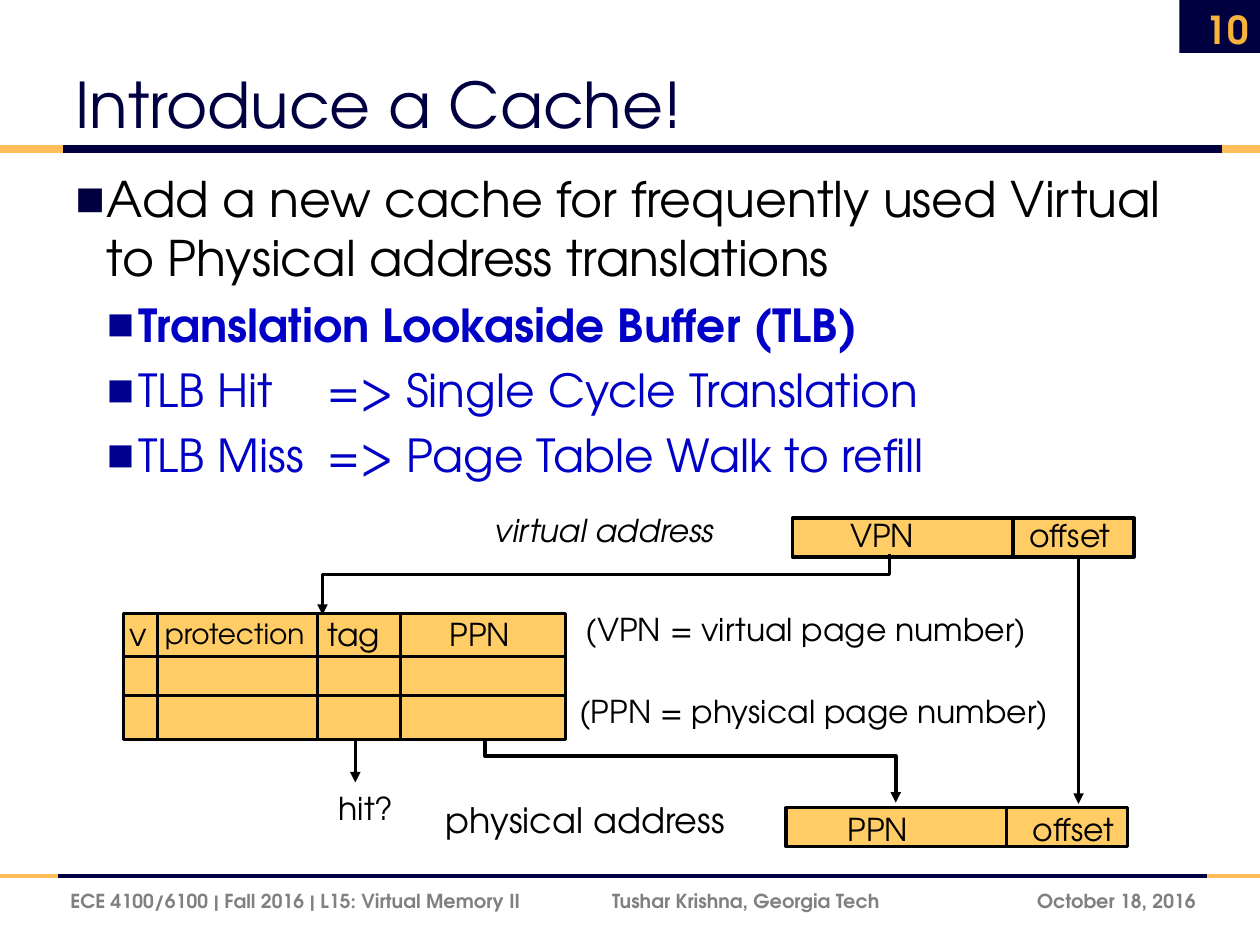
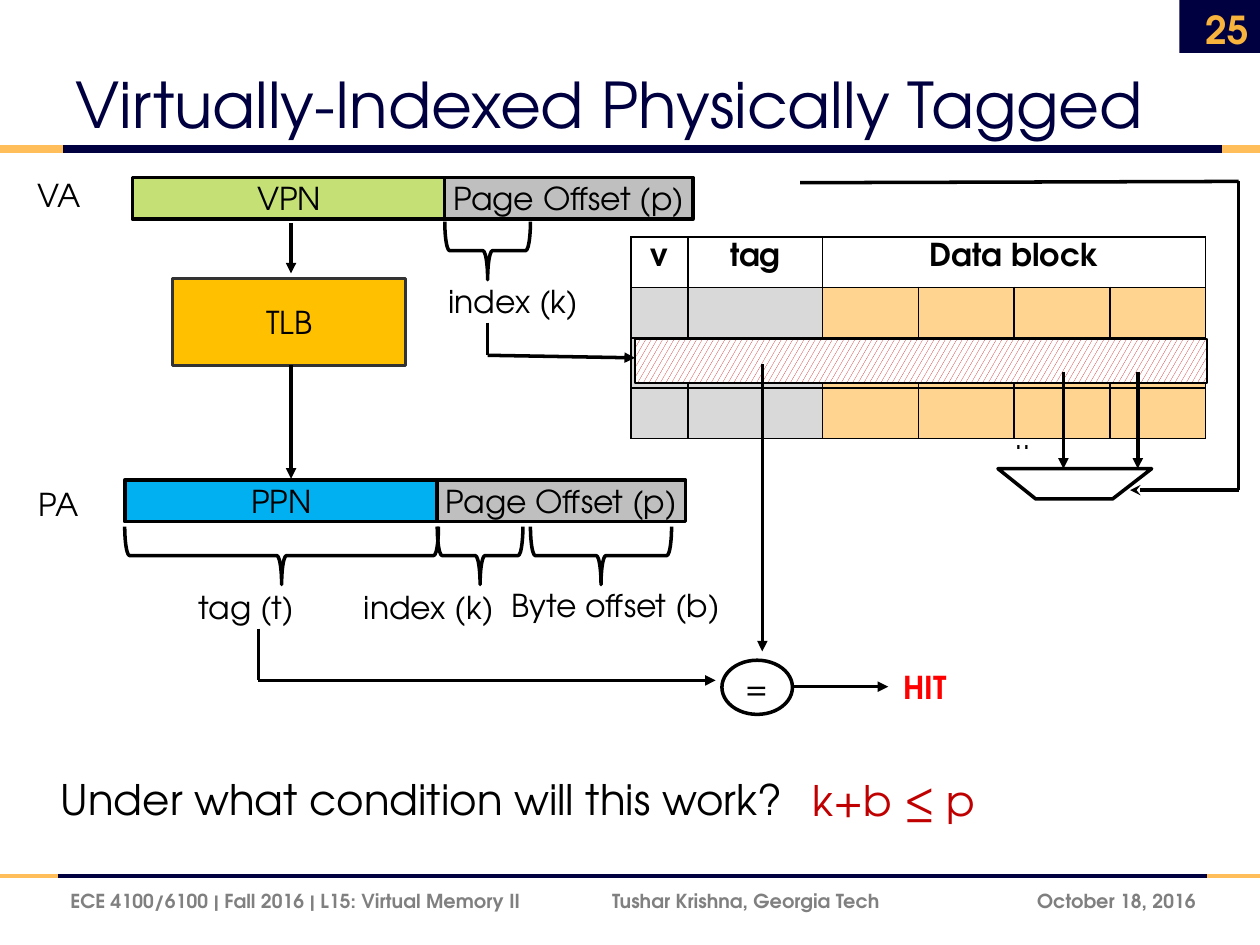
import pptx
import pptx.util
import pptx.dml.color
import pptx.enum.dml
import pptx.enum.shapes
import pptx.enum.text
import pptx.oxml.ns
from lxml import etree
from itertools import pairwise

Inches = pptx.util.Inches
Pt = pptx.util.Pt
KIND = pptx.enum.shapes.MSO_SHAPE
ALIGN = pptx.enum.text.PP_ALIGN
ANCHOR = pptx.enum.text.MSO_ANCHOR
FONT = "TeX Gyre Adventor"
NAVY, GOLD, AMBER = "000041", "FFBE5A", "FFCC66"
BLACK, WHITE, GRAY, BLUE = "000000", "FFFFFF", "BFBFBF", "0000C7"


def color(code):
    """Turn a hex string into a colour."""
    return pptx.dml.color.RGBColor.from_string(code)


def put(item, **vals):
    """Set each named value on an item."""
    for name, val in vals.items():
        setattr(item, name, val)


def child(node, tag, **vals):
    """Add an XML child in the drawing namespace."""
    return etree.SubElement(node, pptx.oxml.ns.qn(tag), vals)


def write(para, text, size=18, ink=BLACK, align=ALIGN.LEFT, **vals):
    """Write one styled run in a paragraph."""
    para.alignment = align
    run = para.add_run()
    run.text = text
    put(run.font, name=FONT, size=Pt(size), **vals)
    run.font.color.rgb = color(ink)


def label(slide, text, x, y, w, h=0.4, anchor=ANCHOR.TOP, **style):
    """Place a line of text."""
    box = slide.shapes.add_textbox(*map(Inches, (x, y, w, h)))
    put(box.text_frame, word_wrap=True, vertical_anchor=anchor)
    write(box.text_frame.paragraphs[0], text, **style)


def tint(shape, fill):
    """Fill a shape, or leave it clear."""
    if fill:
        shape.fill.solid()
        shape.fill.fore_color.rgb = color(fill)
    else:
        shape.fill.background()


def outline(shape, ink=BLACK, width=2.0, arrow=None):
    """Draw a line and an optional arrowhead at its end."""
    shape.line.color.rgb = color(ink)
    shape.line.width = Pt(width)
    if arrow:
        edge = shape._element.spPr.find(pptx.oxml.ns.qn("a:ln"))
        child(edge, "a:tailEnd", type=arrow)


def block(slide, x, y, w, h, fill=None, text="", ink=BLACK, width=2.0,
          kind=KIND.RECTANGLE):
    """Place a filled shape with a centred label."""
    shape = slide.shapes.add_shape(kind, *map(Inches, (x, y, w, h)))
    shape.shadow.inherit = False
    tint(shape, fill)
    if width:
        outline(shape, ink, width)
    else:
        shape.line.fill.background()
    if text:
        put(shape.text_frame, word_wrap=False, vertical_anchor=ANCHOR.MIDDLE,
            margin_left=0, margin_right=0, margin_top=0, margin_bottom=0)
        write(shape.text_frame.paragraphs[0], text, align=ALIGN.CENTER)
    return shape


def line(slide, x1, y1, x2, y2, ink=BLACK, width=2.0, arrow=None):
    """Draw a straight connector."""
    kind = pptx.enum.shapes.MSO_CONNECTOR.STRAIGHT
    rule = slide.shapes.add_connector(kind, *map(Inches, (x1, y1, x2, y2)))
    outline(rule, ink, width, arrow)
    child(rule._element.spPr, "a:effectLst")


def chain(slide, spots, arrow="triangle"):
    """Join spots by connectors, with an arrowhead on the last."""
    for start, end in pairwise(spots):
        line(slide, *start, *end, arrow=arrow if end == spots[-1] else None)


def path(slide, spots, fill=None, arrow=None):
    """Draw a bent line, or a closed outline when filled."""
    spots = [tuple(map(Inches, spot)) for spot in spots]
    pen = slide.shapes.build_freeform(*spots[0])
    pen.add_line_segments(spots[1:], close=bool(fill))
    shape = pen.convert_to_shape()
    shape.shadow.inherit = False
    tint(shape, fill)
    outline(shape, arrow=arrow)


def brace(slide, x, y, w, h=0.46):
    """Place a brace that opens upward under a field."""
    shape = block(slide, x + (w - h) / 2, y + (h - w) / 2, h, w,
                  kind=KIND.RIGHT_BRACE)
    shape.rotation = 90
    shape.adjustments[0] = 0.083


def band(slide, y, stops, width):
    """Draw a gold, navy, gold rule across the slide."""
    for (x1, x2), ink in zip(pairwise(stops), (GOLD, NAVY, GOLD)):
        line(slide, x1, y, x2, y, ink, width)


def frame(deck, title, number):
    """Start a slide with its title, bands and footer."""
    slide = deck.slides.add_slide(deck.slide_layouts[6])
    block(slide, 9.36, 0, 0.68, 0.42, NAVY, width=0)
    band(slide, 6.95, (0, 0.46, 9.58, 10), 2.25)
    band(slide, 1.18, (0, 0.5, 9.7, 10), 4.5)
    label(slide, title, 0.5, 0.17, 9.35, 1, ANCHOR.BOTTOM, size=36, ink=NAVY)
    foot = {"anchor": ANCHOR.MIDDLE, "size": 11, "bold": True}
    label(slide, "ECE 4100/6100 | Fall 2016 | L15: Virtual Memory II",
          0.46, 6.95, 4.2, ink="808080", **foot)
    label(slide, "Tushar Krishna, Georgia Tech", 4.76, 6.95, 2.8,
          ink="808080", **foot)
    label(slide, "October 18, 2016", 7.67, 6.95, 1.92, ink="7F7F7F",
          align=ALIGN.RIGHT, **foot)
    label(slide, number, 9.34, 0.03, 0.67, anchor=ANCHOR.MIDDLE, size=22,
          ink="F8B33C", align=ALIGN.RIGHT, bold=True)
    return slide


def points(slide, x, y, w, h):
    """List the main point and its sub-points."""
    box = slide.shapes.add_textbox(*map(Inches, (x, y, w, h)))
    body = box.text_frame
    body.word_wrap = True
    rows = (
        (0, "Add a new cache for frequently used Virtual to Physical "
            "address translations", False),
        (1, "Translation Lookaside Buffer (TLB)", True),
        (1, "TLB Hit\t=> Single Cycle Translation", False),
        (1, "TLB Miss\t=> Page Table Walk to refill", False),
    )
    for i, (level, text, bold) in enumerate(rows):
        para = body.add_paragraph() if i else body.paragraphs[0]
        put(para, level=level, space_before=Pt(6 if i else 0))
        props = para._p.get_or_add_pPr()
        props.set("marL", str(Inches(0.25 * (level + 1))))
        props.set("indent", str(Inches(-0.25)))
        mark = child(props, "a:buClr")
        child(mark, "a:srgbClr", val=("000090" if level else NAVY))
        child(props, "a:buFont", typeface="Arial")
        child(props, "a:buChar", char="■")
        write(para, text, 26 if level else 28, BLUE if level else BLACK,
              bold=bold)


def fields(slide, x, y, name, lefts, rise):
    """Draw an address split into a page number and an offset."""
    block(slide, x, y, 2.71, 0.31, AMBER)
    line(slide, x + 1.75, y + 0.01, x + 1.75, y + 0.3)
    for text, left in zip((name, "offset"), lefts):
        label(slide, text, x + left, y - rise, 1)


def buffer(slide, x, y, w, h):
    """Draw the translation buffer with its columns and rows."""
    block(slide, x, y, w, h, AMBER)
    for dy in (0.34, 0.65):
        line(slide, x, y + dy, x + w, y + dy)
    for dx in (0, 0.27, 1.54, 2.2):
        line(slide, x + dx, y, x + dx, y + h)
    heads = (("v", -0.05, 18), ("protection", 0.23, 16), ("tag", 1.52, 18),
             ("PPN", 2.49, 18))
    for text, dx, size in heads:
        label(slide, text, x + dx, y - 0.04, 1.5, size=size,
              anchor=ANCHOR.MIDDLE)


def lookup(slide, x, y):
    """Draw the address translation through the buffer."""
    fields(slide, x + 5.31, y, "VPN", (0.36, 1.78), 0.06)
    buffer(slide, x, y + 0.76, 3.51, 1)
    fields(slide, x + 5.26, y + 2.3, "PPN", (0.39, 1.86), 0.03)
    line(slide, x + 7.58, y + 0.3, x + 7.58, y + 2.27, arrow="triangle")
    line(slide, x + 1.84, y + 1.77, x + 1.84, y + 2.1, arrow="triangle")
    for spots in (((6.08, 0.29), (6.08, 0.45), (1.58, 0.45), (1.58, 0.77)),
                  ((2.87, 1.77), (2.87, 1.89), (6.13, 1.89), (6.13, 2.26))):
        path(slide, [(x + dx, y + dy) for dx, dy in spots], arrow="triangle")
    label(slide, "virtual address", x + 2.85, y - 0.1, 2.1, italic=True)
    label(slide, "(VPN = virtual page number)", x + 3.57, y + 0.68, 3.9)
    label(slide, "(PPN = physical page number)", x + 3.52, y + 1.33, 4.1)
    label(slide, "hit?", x + 1.61, y + 2.1, 0.8)
    label(slide, "physical address", x + 2.46, y + 2.18, 2.7, size=20)


def address(slide, x, y, name, fill):
    """Draw a page number beside its page offset."""
    block(slide, x, y, 2.49, 0.33, fill, name)
    block(slide, x + 2.48, y, 1.97, 0.33, GRAY, "Page Offset (p)")


def steps(slide, x, y):
    """Draw the virtual address, buffer and physical address."""
    address(slide, x + 0.06, y, "VPN", "C5E176")
    address(slide, x, y + 2.4, "PPN", "00B0F0")
    block(slide, x + 0.38, y + 0.8, 1.85, 0.69, "FFC000", "TLB", "333333")
    for top, end in ((0.36, 0.76), (1.49, 2.39)):
        line(slide, x + 1.32, y + top, x + 1.32, y + end, arrow="triangle")
    for dx, dy, w in ((2.54, 0.35, 0.68), (0, 2.77, 2.49),
                      (2.48, 2.77, 0.68), (3.22, 2.77, 1.12)):
        brace(slide, x + dx, y + dy, w)
    for text, dx, dy, w in (("VA", -0.79, -0.06, 1.08),
                            ("PA", -0.78, 2.39, 1.08),
                            ("index (k)", 2.47, 0.78, 1.41),
                            ("tag (t)", 0.49, 3.21, 1.09),
                            ("index (k)", 1.8, 3.21, 1.4),
                            ("Byte offset (b)", 2.97, 3.19, 2.08)):
        label(slide, text, x + dx, y + dy, w)


def border(cell, sides):
    """Rule the named sides of a cell and clear the others."""
    props = cell._tc.get_or_add_tcPr()
    for side in "LRTB":
        edge = child(props, f"a:ln{side}", w=str(Pt(1)))
        if side in sides:
            child(child(edge, "a:solidFill"), "a:srgbClr", val=BLACK)
        else:
            child(edge, "a:noFill")


def lines(slide, x, y, w, h):
    """Build the table of cache lines with one line picked out."""
    grid = slide.shapes.add_table(4, 7, *map(Inches, (x, y, w, h))).table
    for col, wide in zip(grid.columns, (0.97, 0.45, 1.07, *[0.76] * 4)):
        col.width = Inches(wide)
    for r, row in enumerate(grid.rows):
        row.height = Inches(h / 4)
        for c, cell in enumerate(row.cells):
            border(cell, "LRTB" if c else "R")
            shade = "D9D9D9" if c < 3 else "FFD491"
            tint(cell, shade if r and c else WHITE)
    grid.cell(0, 3).merge(grid.cell(0, 6))
    for c, text in enumerate(("v", "tag", "Data block"), 1):
        write(grid.cell(0, c).text_frame.paragraphs[0], text,
              align=ALIGN.CENTER, bold=True)
    pick = block(slide, x + 1, y + 0.81, w - 1, 0.35, width=1)
    pick.fill.patterned()
    pick.fill.pattern = pptx.enum.dml.MSO_PATTERN.LARGE_CONFETTI
    pick.fill.fore_color.rgb = color("D01010")
    pick.fill.back_color.rgb = color(WHITE)


def select(slide, x, y):
    """Draw the word selector below the table."""
    path(slide, [(x, y), (x + 0.3, y + 0.24), (x + 0.91, y + 0.24),
                 (x + 1.22, y)], WHITE)
    chain(slide, [(x - 1.57, y - 2.27), (x + 1.91, y - 2.28),
                  (x + 1.91, y + 0.17), (x + 1.05, y + 0.17)], "stealth")
    for dx in (0.52, 1.11):
        line(slide, x + dx, y - 0.77, x + dx, y, arrow="triangle")
    label(slide, "..", x + 0.03, y - 0.45, 0.56)


def match(slide, x, y):
    """Draw the tag comparison and its result."""
    block(slide, x, y, 0.56, 0.43, WHITE, "=", kind=KIND.OVAL)
    chain(slide, [(x - 3.68, y - 0.25), (x - 3.68, y + 0.16),
                  (x - 0.05, y + 0.16)])
    chain(slide, [(x - 1.86, y - 2.68), (x - 1.86, y - 2.42),
                  (x - 0.69, y - 2.4)])
    line(slide, x + 0.32, y - 2.35, x + 0.32, y - 0.07, arrow="triangle")
    line(slide, x + 0.56, y + 0.21, x + 1.32, y + 0.21, arrow="triangle")
    label(slide, "HIT", x + 1.34, y + 0.01, 0.75, ink="FF0000", bold=True)


def main():
    """Build both slides."""
    deck = pptx.Presentation()
    put(deck, slide_width=Inches(10), slide_height=Inches(7.5))
    slide = frame(deck, "Introduce a Cache!", "10")
    points(slide, 0.5, 1.29, 9.08, 5.58)
    lookup(slide, 0.98, 4.11)
    slide = frame(deck, "Virtually-Indexed Physically Tagged", "25")
    lines(slide, 4.04, 1.88, 5.54, 1.6)
    steps(slide, 0.99, 1.41)
    match(slide, 5.73, 5.24)
    select(slide, 7.92, 3.72)
    label(slide, "Under what condition will this work?", 0.38, 6.09, 6.48,
          0.5, size=24)
    label(slide, "k+b ≤ p", 6.35, 6.1, 1.51, 0.5, size=24, ink="C00000")
    deck.save("out.pptx")


if __name__ == "__main__":
    main()
